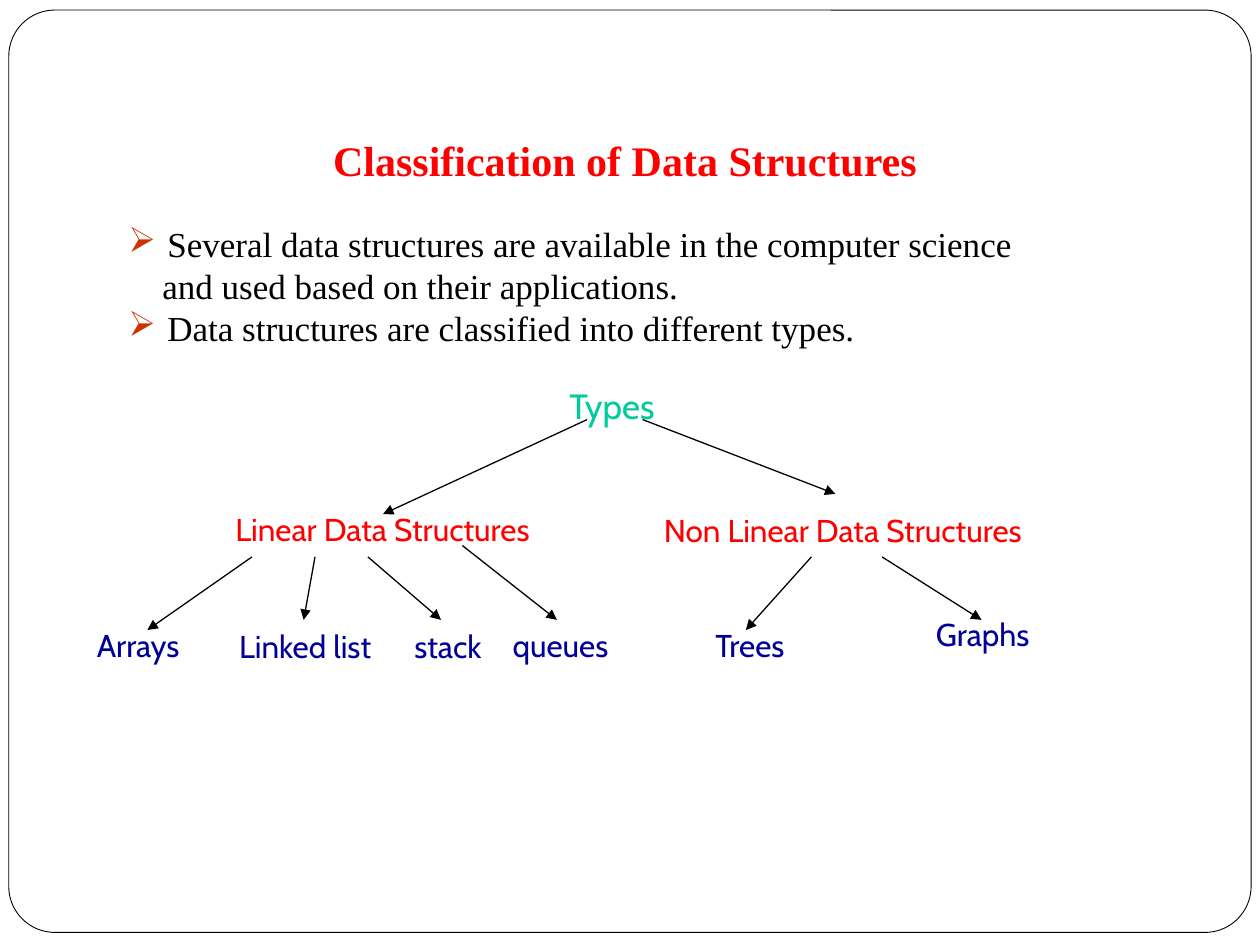
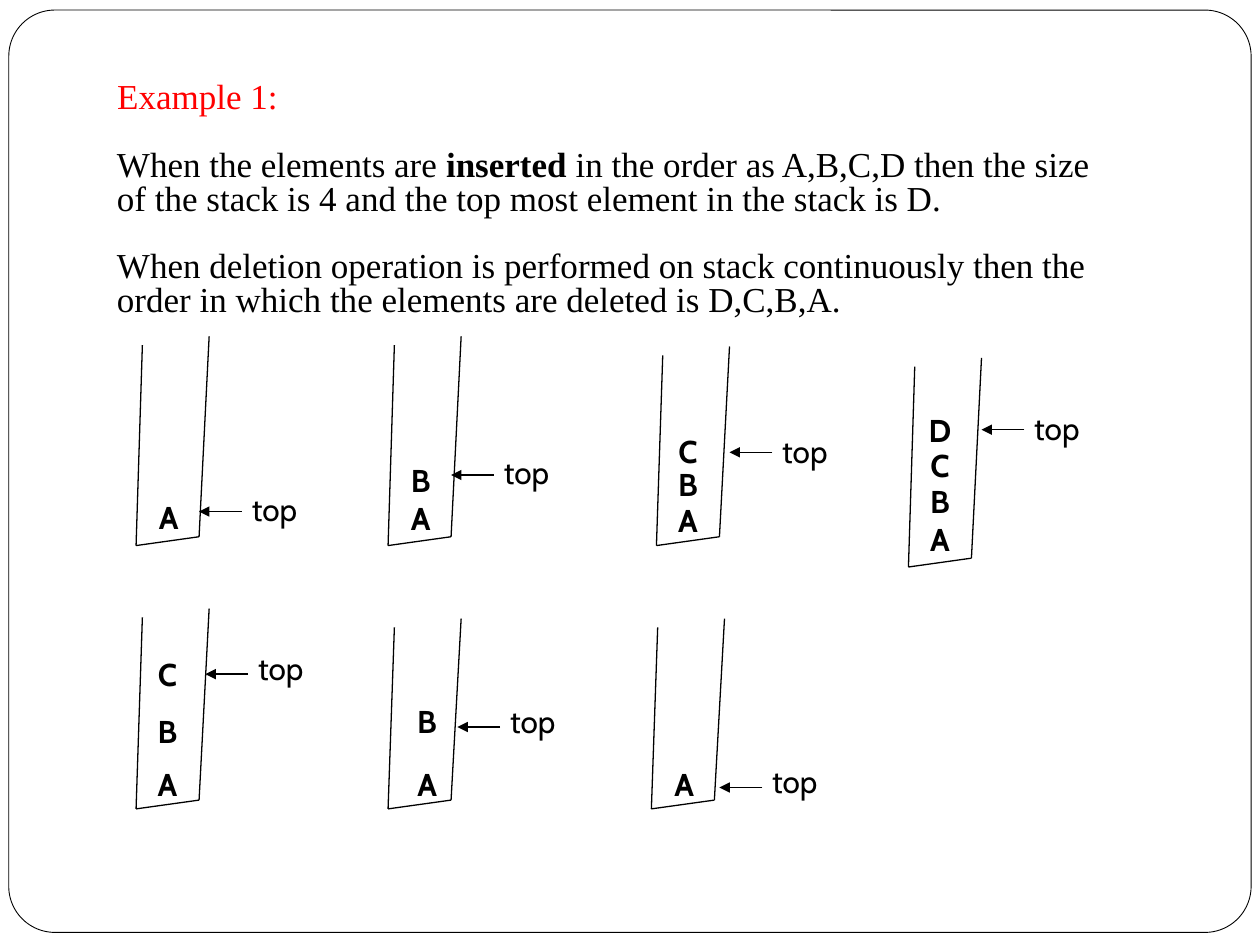
from dataclasses import dataclass
from typing import Union

from lxml.etree import SubElement
from pptx import Presentation
from pptx.dml.color import RGBColor
from pptx.enum.shapes import MSO_CONNECTOR as Link, MSO_SHAPE as Form
from pptx.enum.text import MSO_ANCHOR as Anchor, MSO_AUTO_SIZE as Fit, PP_ALIGN as Align
from pptx.oxml.ns import qn
from pptx.shapes.autoshape import Shape
from pptx.shapes.shapetree import GroupShapes, SlideShapes
from pptx.slide import Slide
from pptx.text.text import TextFrame, _Paragraph as Para
from pptx.util import Emu, Pt

PX = 9144  # 100 px to the inch
SERIF, SANS = "Times New Roman", "Cabin"
BLACK, RED, GREEN, NAVY, RUST = "000000", "FF0000", "00CC99", "000099", "CC3300"
Tree = Union[SlideShapes, GroupShapes]


@dataclass
class Style:
    font: str
    size: int
    color: str
    bold: bool = False
    align: Align = Align.LEFT
    pitch: float = 0  # line height in points; 0 keeps single spacing


@dataclass
class Box:
    x: int
    y: int
    w: int
    h: int


@dataclass
class Node:
    text: str
    box: Box
    style: Style


@dataclass
class Stack:
    x: int
    base: int
    depth: int
    mid: int
    tip: int
    level: int
    lift: int
    items: str
    tops: tuple[int, ...]


HEAD = Style(SERIF, 24, RED, True, Align.CENTER)
LEAD = Style(SERIF, 20, RED, pitch=19.2)
LIST = Style(SERIF, 20, BLACK, pitch=24)
PROSE = Style(SERIF, 20, BLACK, pitch=19.2)
ROOT = Style(SANS, 20, GREEN)
KIND = Style(SANS, 18, RED)
LEAF = Style(SANS, 18, NAVY)
ITEM = Style(SANS, 18, BLACK, True, Align.CENTER)
LABEL = Style(SANS, 18, BLACK)

NODES = [
    Node("Types", Box(442, 300, 94, 77), ROOT),
    Node("Linear Data Structures", Box(177, 400, 307, 40), KIND),
    Node("Non Linear Data Structures", Box(517, 401, 367, 40), KIND),
    Node("Arrays", Box(67, 492, 94, 40), LEAF),
    Node("Linked list", Box(180, 493, 139, 40), LEAF),
    Node("stack", Box(319, 493, 83, 40), LEAF),
    Node("queues", Box(397, 492, 104, 40), LEAF),
    Node("Trees", Box(558, 492, 85, 40), LEAF),
    Node("Graphs", Box(733, 483, 103, 40), LEAF),
]
ARROWS = [
    (466, 333, 304, 408), (510, 333, 663, 392),
    (200, 442, 117, 500), (250, 442, 241, 492),
    (292, 442, 350, 492), (367, 433, 442, 492),
    (644, 442, 592, 500), (700, 442, 779, 492),
]
STACKS = [
    Stack(108, 433, 159, 134, 158, 406, 22, "A", (390,)),
    Stack(308, 433, 159, 334, 358, 377, 22, "AB", (391, 361)),
    Stack(521, 433, 151, 546, 579, 359, 21, "ABC", (393, 364, 338)),
    Stack(721, 450, 159, 746, 779, 341, 21, "ABCD", (408, 378, 349, 321)),
    Stack(108, 642, 152, 133, 163, 535, 25, "ABC", (602, 560, 515)),
    Stack(308, 642, 144, 339, 363, 577, 25, "AB", (602, 552)),
    Stack(517, 642, 144, 543, 571, 625, 25, "A", (602,)),
]


def rgb(color: str) -> RGBColor:
    return RGBColor.from_string(color)


def px(*sizes: int) -> list[Emu]:
    return [Emu(size * PX) for size in sizes]


def write(para: Para, text: str, style: Style) -> None:
    """Fill a paragraph; words between asterisks turn bold."""
    para.alignment = style.align
    if style.pitch:
        para.line_spacing = Pt(style.pitch)
    for n, part in enumerate(text.split("*")):
        run = para.add_run()
        run.text = part
        font = run.font
        font.name, font.size = style.font, Pt(style.size)
        font.bold = style.bold or n % 2 == 1
        font.color.rgb = rgb(style.color)


def fill(frame: TextFrame, lines: list[str], style: Style) -> None:
    frame.word_wrap = True
    frame.auto_size = Fit.NONE
    frame.vertical_anchor = Anchor.TOP
    frame.margin_left, frame.margin_top, frame.margin_right, frame.margin_bottom = px(10, 5, 10, 5)
    for n, line in enumerate(lines):
        write(frame.add_paragraph() if n else frame.paragraphs[0], line, style)


def add_text(tree: Tree, lines: list[str], box: Box, style: Style) -> Shape:
    shape = tree.add_textbox(*px(box.x, box.y, box.w, box.h))
    fill(shape.text_frame, lines, style)
    return shape


def add_line(tree: Tree, x1: int, y1: int, x2: int, y2: int, arrow: bool = False) -> None:
    line = tree.add_connector(Link.STRAIGHT, *px(x1, y1, x2, y2))
    line.line.color.rgb = rgb(BLACK)
    line.line.width = Pt(0.75)
    props = line.element.spPr
    if arrow:
        SubElement(props.find(qn("a:ln")), qn("a:tailEnd"), type="triangle")
    SubElement(props, qn("a:effectLst"))


def set_title(slide: Slide, text: str, box: Box, style: Style) -> None:
    title = slide.shapes.title
    title.left, title.top, title.width, title.height = px(box.x, box.y, box.w, box.h)
    fill(title.text_frame, [text], style)


def indent(para: Para, left: int, hang: int = 0, mark: str = "") -> None:
    props = para._p.get_or_add_pPr()
    props.set("marL", str(left * PX))
    props.set("indent", str(-hang * PX))
    if mark:
        tint = SubElement(props, qn("a:buClr"))
        SubElement(tint, qn("a:srgbClr"), val=RUST)
        SubElement(props, qn("a:buChar"), char=mark)


def add_frame(slide: Slide) -> None:
    """Draw the rounded border and move it to the layout, so every slide has it."""
    frame = slide.shapes.add_shape(Form.ROUNDED_RECTANGLE, *px(7, 8, 986, 732))
    frame.adjustments[0] = 0.05
    frame.shadow.inherit = False
    frame.fill.background()
    frame.line.color.rgb = rgb(BLACK)
    frame.line.width = Pt(0.5)
    slide.slide_layout.element.cSld.spTree.append(frame.element)


def add_stack(slide: Slide, s: Stack) -> None:
    tree = slide.shapes.add_group_shape().shapes
    rim, right, low = s.base - s.depth, s.x + 50, s.base - 7
    add_line(tree, s.x + 5, rim, s.x, s.base)
    add_line(tree, s.x, s.base, right, low)
    add_line(tree, right, low, s.x + 58, rim - 7)
    for item, top in zip(s.items, s.tops):
        add_text(tree, [item], Box(s.mid - 20, top, 40, 40), ITEM)
    add_text(tree, ["top"], Box(s.tip + 32, s.level - s.lift, 59, 40), LABEL)
    add_line(tree, s.tip + 34, s.level, s.tip, s.level, arrow=True)


def draw_types(slide: Slide) -> None:
    set_title(slide, "Classification of Data Structures", Box(42, 102, 908, 50), HEAD)
    body = add_text(slide.shapes, [
        "Several data structures are available in the computer science",
        "and used based on their applications.",
        "Data structures are classified into different types.",
    ], Box(42, 172, 908, 112), LIST)
    first, rest, last = body.text_frame.paragraphs
    for para in (first, last):
        indent(para, 81, 31, "➢")
    indent(rest, 77)
    tree = slide.shapes.add_group_shape().shapes
    for node in NODES:
        add_text(tree, [node.text], node.box, node.style)
    for ends in ARROWS:
        add_line(tree, *ends, arrow=True)


def draw_stacks(slide: Slide) -> None:
    set_title(slide, "Example 1:", Box(83, 61, 842, 40), LEAD)
    body = add_text(slide.shapes, [
        "When the elements are *inserted* in the order as A,B,C,D then the size",
        "of the stack is 4 and the top most element in the stack is D.",
        "When deletion operation is performed on stack continuously then the "
        "order in which the elements are deleted is D,C,B,A.",
    ], Box(83, 115, 842, 145), PROSE)
    body.text_frame.paragraphs[2].space_before = Pt(PROSE.pitch)
    for stack in STACKS:
        add_stack(slide, stack)


def main() -> None:
    deck = Presentation()
    deck.slide_width, deck.slide_height = px(1000, 750)
    types, stacks = [deck.slides.add_slide(deck.slide_layouts[5]) for _ in range(2)]
    add_frame(types)
    draw_types(types)
    draw_stacks(stacks)
    deck.save("out.pptx")


if __name__ == "__main__":
    main()
